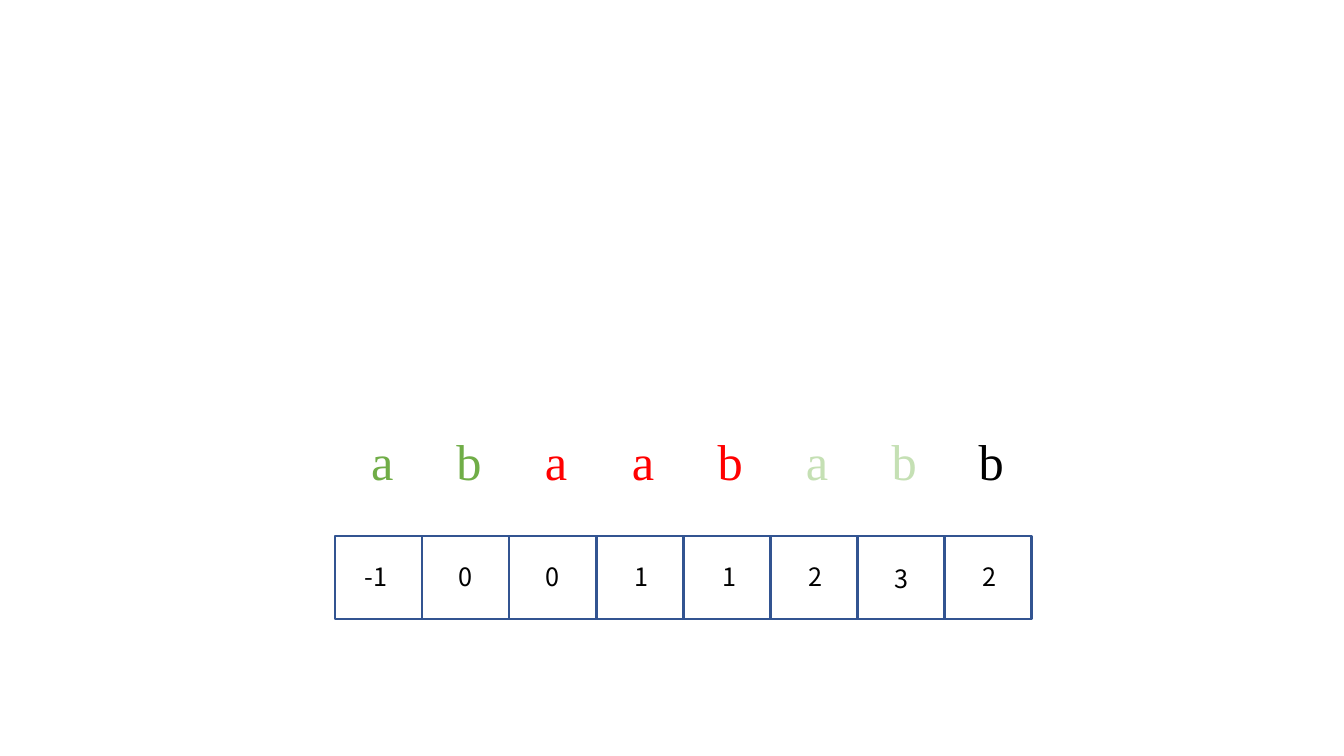
from dataclasses import dataclass

from lxml.etree import SubElement
from pptx import Presentation
from pptx.dml.color import RGBColor
from pptx.enum.shapes import MSO_SHAPE
from pptx.enum.text import MSO_AUTO_SIZE
from pptx.oxml.ns import qn
from pptx.util import Emu, Inches, Pt

PIXEL = 914400 / 100.8
PITCH = 87
COLOURS = {
    "green": "70AD47",
    "red": "FF0000",
    "pale": "C5E0B4",
    "black": "000000",
    "border": "325491",
}


@dataclass
class Span:
    """Neighbouring letters of one colour."""
    letters: str
    colour: str


@dataclass
class Number:
    """A value of the array and the place of its text box."""
    text: str
    left: int
    top: int = 556


SPANS = [Span("ab", "green"), Span("aab", "red"), Span("ab", "pale"), Span("b", "black")]
NUMBERS = [
    Number("-1", 355), Number("0", 448), Number("0", 535), Number("1", 624),
    Number("1", 712), Number("2", 798), Number("3", 884, 558), Number("2", 972),
]


def px(pixels: float) -> Emu:
    """Turn pixels into EMU."""
    return Emu(round(pixels * PIXEL))


def colour(name: str) -> RGBColor:
    """Look up a colour by name."""
    return RGBColor.from_string(COLOURS[name])


def add_text_box(page, left: int, top: int, width: int, height: int):
    """Add a wrapping text box that fits its text and return its first paragraph."""
    box = page.shapes.add_textbox(px(left), px(top), px(width), px(height))
    box.text_frame.word_wrap = True
    box.text_frame.auto_size = MSO_AUTO_SIZE.SHAPE_TO_FIT_TEXT
    return box.text_frame.paragraphs[0]


def add_letters(page, spans: list[Span]) -> None:
    """Write the coloured string, one letter per centred tab stop."""
    para = add_text_box(page, 361, 425, 670, 72)
    para.font.size = Pt(36)
    para.font.name = "Times New Roman"
    for index, part in enumerate(spans):
        span = para.add_run()
        span.text = ("\t" if index else "") + "\t".join(part.letters)
        span.font.color.rgb = colour(part.colour)
    # Tab stops precede the default run properties in the schema.
    properties = para._p.get_or_add_pPr()
    stops = SubElement(properties, qn("a:tabLst"))
    properties.insert(0, stops)
    for step in range(1, sum(len(part.letters) for part in spans)):
        SubElement(stops, qn("a:tab"), pos=str(px(11 + step * PITCH)), algn="ctr")


def add_cells(page, count: int) -> None:
    """Draw the row of empty array cells as one group."""
    group = page.shapes.add_group_shape()
    for index in range(count):
        cell = group.shapes.add_shape(
            MSO_SHAPE.RECTANGLE, px(335 + index * PITCH), px(536), px(PITCH), px(83))
        cell.shadow.inherit = False
        cell.fill.background()
        cell.line.color.rgb = colour("border")
        cell.line.width = Pt(2)


def add_number(page, number: Number) -> None:
    """Write one array value."""
    para = add_text_box(page, number.left, number.top, 46, 40)
    para.text = number.text
    para.font.size = Pt(18)
    para.font.name = "Noto Sans CJK SC"
    para.font.color.rgb = colour("black")


deck = Presentation()
deck.slide_width, deck.slide_height = Inches(13.33), Inches(7.5)
page = deck.slides.add_slide(deck.slide_layouts[6])
add_letters(page, SPANS)
add_cells(page, len(NUMBERS))
for number in NUMBERS:
    add_number(page, number)
deck.save("out.pptx")
